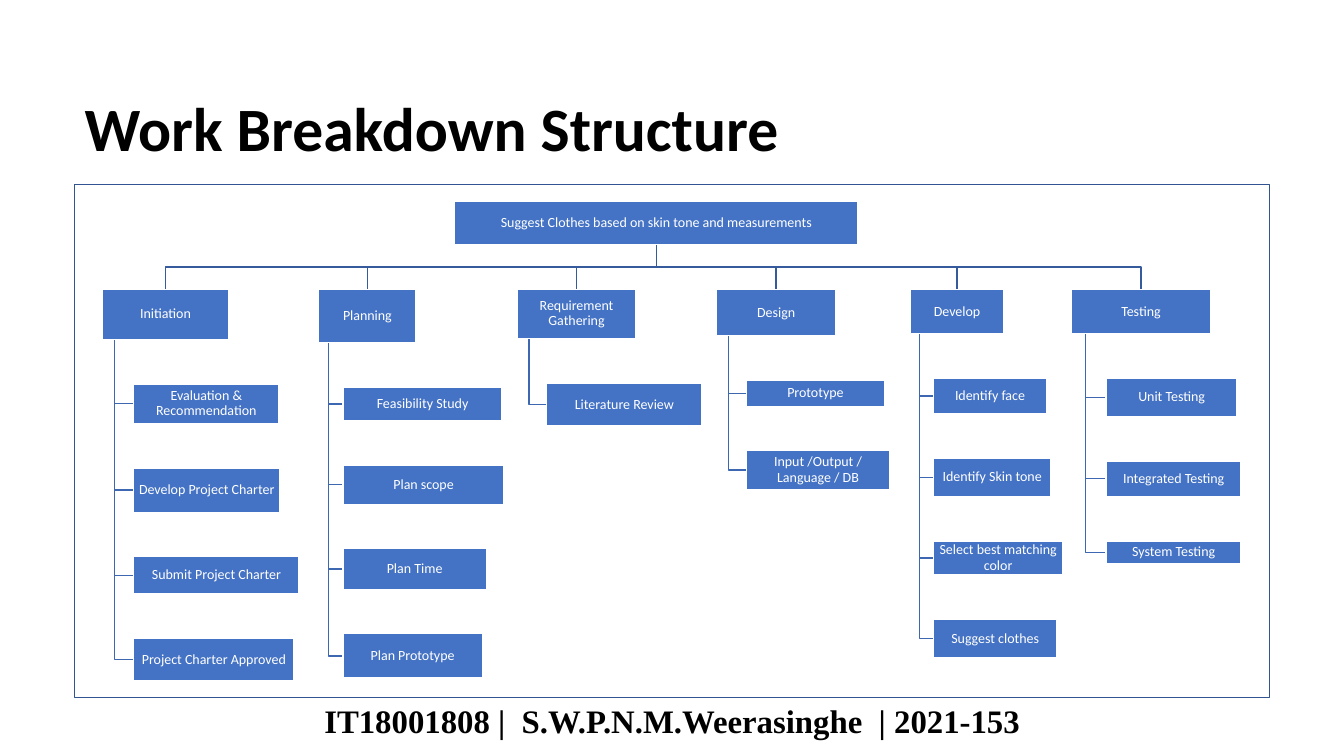
from dataclasses import dataclass
from typing import Optional

from pptx import Presentation
from pptx import util as u
from pptx.dml.color import RGBColor
from pptx.enum import shapes, text


@dataclass(frozen=True)
class Theme:
    white: str = "FFFFFF"
    black: str = "000000"
    blue: str = "4472C4"
    edge: str = "325491"
    stem: str = "365B9D"
    twig: str = "3E67B2"
    sans: str = "Calibri"
    serif: str = "Times New Roman"
    title: float = 44
    foot: float = 23.4
    label: float = 10
    line: float = 1


@dataclass(frozen=True)
class Node:
    label: str
    width: float
    height: float


@dataclass(frozen=True)
class Branch:
    left: float
    head: Node
    tasks: tuple[Node, ...]


THEME = Theme()
GAP = 1.12
ROOT = Node("Suggest Clothes based on skin tone and measurements", 10.16, 1.09)
ROOT_LEFT, ROOT_TOP = 11.46, 5.08
BRANCHES = (
    Branch(2.57, Node("Initiation", 3.2, 1.27), (
        Node("Evaluation & Recommendation", 3.66, 0.99),
        Node("Develop Project Charter", 3.68, 1.12),
        Node("Submit Project Charter", 4.17, 0.94),
        Node("Project Charter Approved", 4.04, 1.07),
    )),
    Branch(8.03, Node("Planning", 2.46, 1.35), (
        Node("Feasibility Study", 4.01, 0.84),
        Node("Plan scope", 4.06, 0.99),
        Node("Plan Time", 3.61, 1.02),
        Node("Plan Prototype", 3.51, 1.12),
    )),
    Branch(13.03, Node("Requirement Gathering", 3, 1.24), (
        Node("Literature Review", 3.91, 1.09),
    )),
    Branch(18.06, Node("Design", 3, 1.17), (
        Node("Prototype", 3.48, 0.66),
        Node("Input /Output / Language / DB", 3.61, 0.97),
    )),
    Branch(22.94, Node("Develop", 2.36, 1.12), (
        Node("Identify face", 2.84, 0.89),
        Node("Identify Skin tone", 2.95, 0.97),
        Node("Select best matching color", 3.25, 0.86),
        Node("Suggest clothes", 3.1, 0.97),
    )),
    Branch(27, Node("Testing", 3.51, 1.12), (
        Node("Unit Testing", 3.3, 0.97),
        Node("Integrated Testing", 3.4, 0.89),
        Node("System Testing", 3.4, 0.58),
    )),
)


def write(shape, words: str, *, size: float, font: str = THEME.sans,
          color: str = THEME.black, bold: bool = False,
          align=text.PP_ALIGN.CENTER, anchor=text.MSO_ANCHOR.TOP,
          inset: Optional[float] = None) -> None:
    frame = shape.text_frame
    frame.word_wrap = True
    frame.auto_size = text.MSO_AUTO_SIZE.NONE
    frame.vertical_anchor = anchor
    if inset is not None:
        frame.margin_left = frame.margin_right = u.Cm(inset)
        frame.margin_top = frame.margin_bottom = u.Cm(inset)
    para = frame.paragraphs[0]
    para.alignment = align
    para.line_spacing = 0.9
    run = para.add_run()
    run.text = words
    run.font.size = u.Pt(size)
    run.font.name = font
    run.font.bold = bold
    run.font.color.rgb = RGBColor.from_string(color)


def stroke(shape, color: str) -> None:
    shape.shadow.inherit = False
    shape.line.color.rgb = RGBColor.from_string(color)
    shape.line.width = u.Pt(THEME.line)


def draw_box(slide, left: float, top: float, width: float, height: float,
             fill: str, edge: str):
    box = slide.shapes.add_shape(shapes.MSO_SHAPE.RECTANGLE, u.Cm(left),
                                 u.Cm(top), u.Cm(width), u.Cm(height))
    box.fill.solid()
    box.fill.fore_color.rgb = RGBColor.from_string(fill)
    stroke(box, edge)
    return box


def draw_node(slide, node: Node, left: float, top: float) -> None:
    box = draw_box(slide, left, top, node.width, node.height,
                   THEME.blue, THEME.white)
    write(box, node.label, size=THEME.label, color=THEME.white,
          anchor=text.MSO_ANCHOR.MIDDLE, inset=0.02)


def draw_link(slide, points: list[tuple[float, float]], color: str) -> None:
    start, *rest = [(u.Cm(x), u.Cm(y)) for x, y in points]
    pen = slide.shapes.build_freeform(*start)
    pen.add_line_segments(rest, close=False)
    link = pen.convert_to_shape()
    link.fill.background()
    stroke(link, color)


def draw_branch(slide, branch: Branch) -> None:
    head = branch.head
    mid = ROOT_LEFT + ROOT.width / 2
    base = ROOT_TOP + ROOT.height
    top = base + GAP
    center = branch.left + head.width / 2
    draw_link(slide, [(mid, base), (mid, base + GAP / 2),
                      (center, base + GAP / 2), (center, top)], THEME.stem)
    trunk = branch.left + head.width * 0.1
    left = branch.left + head.width * 0.25
    foot = top + head.height
    row = foot + GAP
    for task in branch.tasks:
        level = row + task.height / 2
        draw_link(slide, [(trunk, foot), (trunk, level), (left, level)],
                  THEME.twig)
        draw_node(slide, task, left, row)
        row += task.height + GAP
    draw_node(slide, head, branch.left, top)


def main() -> None:
    deck = Presentation()
    deck.slide_width, deck.slide_height = u.Cm(33.87), u.Cm(19.05)
    slide = deck.slides.add_slide(deck.slide_layouts[5])

    title = slide.shapes.title
    title.left, title.top = u.Cm(1.88), u.Cm(2.34)
    title.width, title.height = u.Cm(29.21), u.Cm(3.68)
    write(title, "Work Breakdown Structure", size=THEME.title, bold=True,
          align=text.PP_ALIGN.LEFT)

    foot = slide.shapes.add_textbox(u.Cm(0), u.Cm(17.65), u.Cm(33.87), u.Cm(1.14))
    write(foot, "IT18001808 |  S.W.P.N.M.Weerasinghe  | 2021-153",
          size=THEME.foot, font=THEME.serif, bold=True)

    draw_box(slide, 1.88, 4.65, 30.12, 12.93, THEME.white, THEME.edge)
    for branch in BRANCHES:
        draw_branch(slide, branch)
    draw_node(slide, ROOT, ROOT_LEFT, ROOT_TOP)
    deck.save("out.pptx")


if __name__ == "__main__":
    main()
